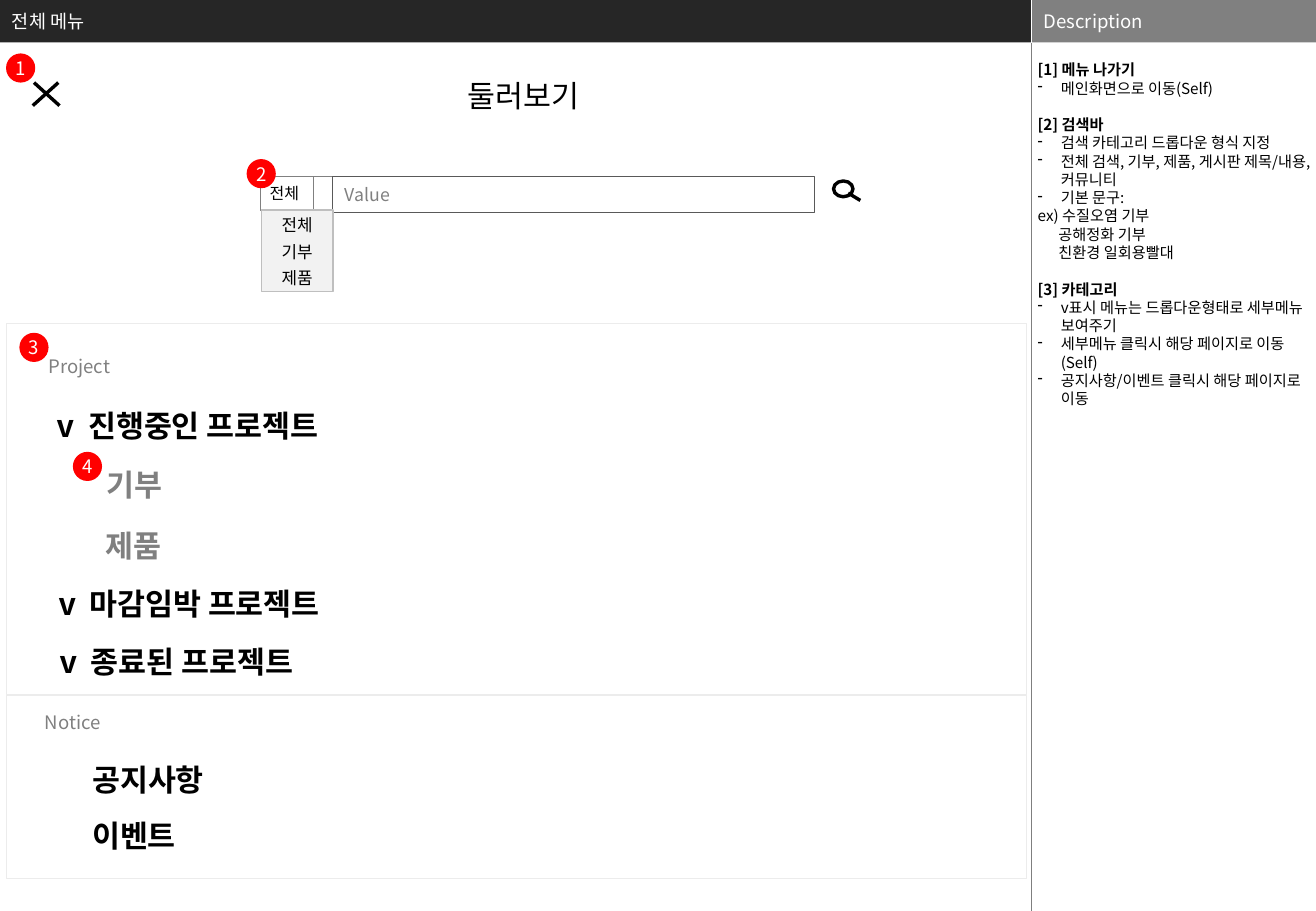
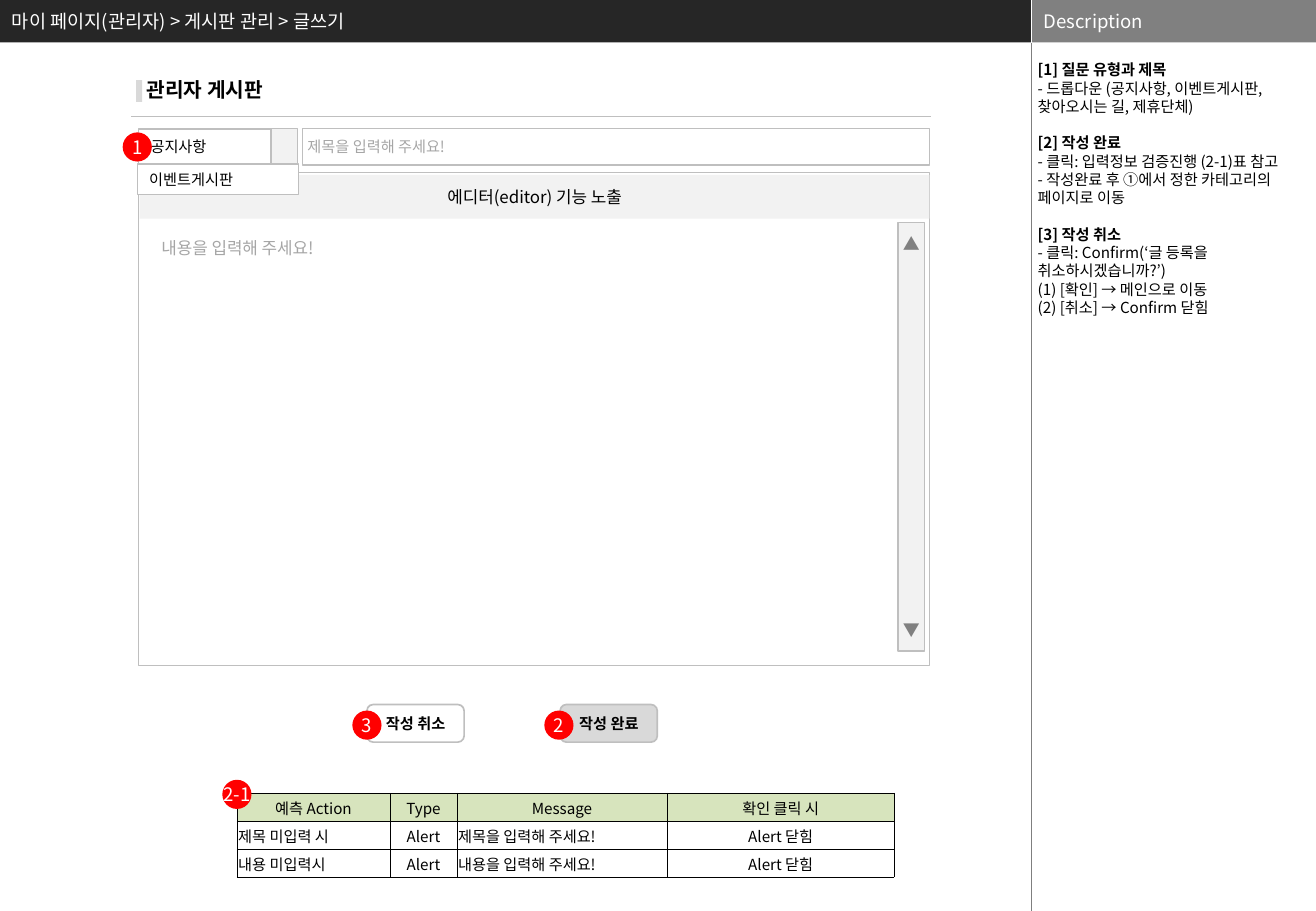
"""Build two wireframe slides: a full menu and an admin post editor."""
from dataclasses import dataclass
from typing import Any, NamedTuple, Optional, Sequence, Union

from lxml import etree
from pptx import Presentation
from pptx import util as u
from pptx.dml.color import RGBColor
from pptx.enum import shapes as s
from pptx.enum import text as t
from pptx.oxml import ns
from pptx.slide import Slide


@dataclass(frozen=True)
class Theme:
    font: str = "Noto Sans CJK KR"
    black: str = "000000"
    white: str = "FFFFFF"
    band: str = "262626"
    gray: str = "808080"
    divider: str = "7F7F7F"
    outline: str = "595959"
    border: str = "BFBFBF"
    hint: str = "A6A6A6"
    button: str = "D9D9D9"
    panel: str = "F2F2F2"
    frame: str = "ECECEC"
    badge: str = "FF0000"
    table_head: str = "D7E4BD"
    small: float = 9
    body: float = 10
    label: float = 11
    section: float = 12
    heading: float = 18
    note_gap: float = 10.8


THEME = Theme()
LEFT, CENTER = t.PP_ALIGN.LEFT, t.PP_ALIGN.CENTER
TOP, MIDDLE = t.MSO_ANCHOR.TOP, t.MSO_ANCHOR.MIDDLE
RECT = s.MSO_SHAPE.RECTANGLE
NO_INSET = (0, 0, 0, 0)
THIN_INSET = (0.04, 0.04, 0.04, 0.04)


class Box(NamedTuple):
    left: float
    top: float
    width: float
    height: float

    def lengths(self) -> list:
        return [u.Inches(value) for value in self]


@dataclass(frozen=True)
class Line:
    text: str
    bold: bool = False
    bullet: bool = False
    indent: float = 0
    before: float = 0


@dataclass(frozen=True)
class Badge:
    text: str
    left: float
    top: float


@dataclass(frozen=True)
class Label:
    text: str
    box: Box
    size: float = THEME.heading
    color: str = THEME.black
    bold: bool = True
    spacing: Optional[float] = 1.5
    wrap: bool = False
    align: Any = LEFT


def head(title: str, first: bool = False) -> Line:
    return Line(title, bold=True, before=0 if first else THEME.note_gap)


def item(content: str) -> Line:
    return Line(content, bullet=True, indent=0.19)


def write(frame: Any, content: Union[str, Sequence[Line]], *, size: float = THEME.small,
          color: str = THEME.black, bold: bool = False, align: Any = LEFT, anchor: Any = MIDDLE,
          inset: Sequence[float] = (0.1, 0.05, 0.1, 0.05), wrap: bool = True,
          spacing: Optional[float] = None) -> None:
    frame.word_wrap = wrap
    frame.vertical_anchor = anchor
    for side, margin in zip(("left", "top", "right", "bottom"), inset):
        setattr(frame, f"margin_{side}", u.Inches(margin))
    lines = [Line(content)] if isinstance(content, str) else content
    for index, line in enumerate(lines):
        paragraph = frame.add_paragraph() if index else frame.paragraphs[0]
        paragraph.alignment = align
        if spacing:
            paragraph.line_spacing = spacing
        if line.before:
            paragraph.space_before = u.Pt(line.before)
        properties = paragraph._p.get_or_add_pPr()
        if line.indent:
            properties.set("marL", str(u.Inches(line.indent)))
        if line.bullet:
            properties.set("indent", str(-u.Inches(line.indent)))
            etree.SubElement(properties, ns.qn("a:buChar")).set("char", "-")
        run = paragraph.add_run()
        run.text = line.text
        run.font.size = u.Pt(size)
        run.font.bold = bold or line.bold
        run.font.color.rgb = RGBColor.from_string(color)
        run.font.name = THEME.font
        etree.SubElement(run._r.get_or_add_rPr(), ns.qn("a:ea")).set("typeface", THEME.font)


def paint(shape: Any, fill: Optional[str], line: Optional[str], weight: float) -> None:
    shape.shadow.inherit = False
    if fill:
        shape.fill.solid()
        shape.fill.fore_color.rgb = RGBColor.from_string(fill)
    else:
        shape.fill.background()
    if line:
        shape.line.color.rgb = RGBColor.from_string(line)
        shape.line.width = u.Pt(weight)
    else:
        shape.line.fill.background()


def draw_shape(slide: Slide, box: Box, fill: Optional[str] = None, line: Optional[str] = None,
               weight: float = 0.75, kind: Any = RECT,
               content: Union[str, Sequence[Line]] = "", **style: Any) -> None:
    shape = slide.shapes.add_shape(kind, *box.lengths())
    paint(shape, fill, line, weight)
    if content:
        write(shape.text_frame, content, **style)


def draw_line(slide: Slide, start: tuple, end: tuple, color: str, weight: float) -> None:
    ends = [u.Inches(value) for value in (*start, *end)]
    connector = slide.shapes.add_connector(s.MSO_CONNECTOR.STRAIGHT, *ends)
    connector.line.color.rgb = RGBColor.from_string(color)
    connector.line.width = u.Pt(weight)
    etree.SubElement(connector._element.spPr, ns.qn("a:effectLst"))


def draw_chevron(slide: Slide, box: Box) -> None:
    left, top, width, height = box
    builder = slide.shapes.build_freeform(left, top, scale=float(u.Inches(1)))
    builder.add_line_segments([(left + width / 2, top + height), (left + width, top)], close=False)
    paint(builder.convert_to_shape(), None, THEME.gray, 0.5)


def draw_label(slide: Slide, label: Label) -> None:
    frame = slide.shapes.add_textbox(*label.box.lengths()).text_frame
    write(frame, label.text, size=label.size, color=label.color, bold=label.bold,
          align=label.align, anchor=TOP, wrap=label.wrap, spacing=label.spacing)
    frame.auto_size = t.MSO_AUTO_SIZE.SHAPE_TO_FIT_TEXT


def draw_badges(slide: Slide, badges: Sequence[Badge]) -> None:
    for badge in badges:
        draw_shape(slide, Box(badge.left, badge.top, 0.24, 0.24), THEME.badge,
                   kind=s.MSO_SHAPE.OVAL, content=badge.text, size=THEME.label,
                   color=THEME.white, align=CENTER, inset=NO_INSET, wrap=False)


def draw_table(slide: Slide, box: Box, widths: Sequence[float], rows: Sequence[Sequence[str]],
               left_columns: Sequence[int]) -> None:
    table = slide.shapes.add_table(len(rows), len(widths), *box.lengths()).table
    table.first_row = table.horz_banding = False
    for column, width in zip(table.columns, widths):
        column.width = u.Inches(width)
    for row_index, row in enumerate(rows):
        for column_index, content in enumerate(row):
            cell = table.cell(row_index, column_index)
            is_left = row_index > 0 and column_index in left_columns
            write(cell.text_frame, content, align=LEFT if is_left else CENTER)
            cell.vertical_anchor = MIDDLE
            cell.margin_left = cell.margin_top = cell.margin_right = u.Inches(0.01)
            cell.margin_bottom = 0
            properties = cell._tc.get_or_add_tcPr()
            for edge in ("lnL", "lnR", "lnT", "lnB"):
                border = etree.SubElement(properties, ns.qn(f"a:{edge}"), w=str(u.Pt(0.25)))
                fill = etree.SubElement(border, ns.qn("a:solidFill"))
                etree.SubElement(fill, ns.qn("a:srgbClr"), val=THEME.black)
            if row_index:
                cell.fill.background()
            else:
                cell.fill.solid()
                cell.fill.fore_color.rgb = RGBColor.from_string(THEME.table_head)


def add_page(presentation: Any, title: str, notes: Sequence[Line]) -> Slide:
    slide = presentation.slides.add_slide(presentation.slide_layouts[6])
    for content, left, width, fill in ((title, 0, 8.49, THEME.band),
                                       ("Description", 8.49, 2.34, THEME.gray)):
        draw_shape(slide, Box(left, 0, width, 0.35), fill, content=content,
                   size=THEME.label, color=THEME.white)
    draw_line(slide, (8.49, 0), (8.49, 0.35), THEME.white, 0.25)
    draw_line(slide, (8.49, 0.35), (8.49, 7.5), THEME.divider, 0.25)
    frame = slide.shapes.add_textbox(*Box(8.5, 0.5, 2.34, 7).lengths()).text_frame
    write(frame, notes, anchor=TOP, inset=(0.04, 0, 0.04, 0))
    return slide


def build_menu(presentation: Any) -> None:
    slide = add_page(presentation, "전체 메뉴", [
        head("[1] 메뉴 나가기", first=True), item("메인화면으로 이동(Self)"),
        head("[2] 검색바"), item("검색 카테고리 드롭다운 형식 지정"),
        item("전체 검색, 기부, 제품, 게시판 제목/내용, 커뮤니티"), item("기본 문구:"),
        Line("ex) 수질오염 기부"), Line("공해정화 기부", indent=0.17),
        Line("친환경 일회용빨대", indent=0.17),
        head("[3] 카테고리"), item("v표시 메뉴는 드롭다운형태로 세부메뉴 보여주기"),
        item("세부메뉴 클릭시 해당 페이지로 이동(Self)"),
        item("공지사항/이벤트 클릭시 해당 페이지로 이동")])
    for start, end in (((0.28, 0.68), (0.49, 0.87)), ((0.48, 0.68), (0.27, 0.87))):
        draw_line(slide, start, end, THEME.black, 2)
    draw_shape(slide, Box(2.14, 1.45, 0.46, 0.28), THEME.white, THEME.gray, 0.5,
               content="전체", size=9.5, inset=(0.08, 0, 0.08, 0))
    draw_shape(slide, Box(2.58, 1.45, 0.16, 0.3), THEME.white, THEME.gray, 0.5)
    draw_chevron(slide, Box(2.62, 1.58, 0.07, 0.04))
    draw_shape(slide, Box(2.74, 1.45, 3.96, 0.3), THEME.white, THEME.outline, 0.5,
               content="Value", size=10.5, color=THEME.gray)
    draw_shape(slide, Box(6.86, 1.49, 0.16, 0.13), None, THEME.black, 2, s.MSO_SHAPE.OVAL)
    draw_line(slide, (6.98, 1.59), (7.08, 1.65), THEME.black, 2)
    draw_shape(slide, Box(2.15, 1.73, 0.59, 0.67), THEME.panel, THEME.border,
               content=[Line("전체"), Line("기부", before=3.6), Line("제품", before=3.6)],
               size=THEME.body, align=CENTER, anchor=TOP, inset=THIN_INSET, wrap=False)
    for top, height in ((2.66, 3.06), (5.72, 1.51)):
        draw_shape(slide, Box(0.05, top, 8.4, height), None, THEME.frame, 0.25)
    for label in (
            Label("둘러보기", Box(3.52, 0.59, 1.58, 0.4), bold=False, spacing=None,
                  wrap=True, align=CENTER),
            Label("Project", Box(0.3, 2.87, 1.9, 0.29), THEME.label, THEME.gray, False, None, True),
            Label("ⅴ 진행중인 프로젝트", Box(0.32, 3.15, 2.65, 0.56)),
            Label("기부", Box(0.78, 3.64, 0.71, 0.56), color=THEME.gray),
            Label("제품", Box(0.77, 4.14, 0.71, 0.56), color=THEME.gray),
            Label("ⅴ 마감임박 프로젝트", Box(0.33, 4.62, 2.65, 0.56)),
            Label("ⅴ 종료된 프로젝트", Box(0.34, 5.1, 2.4, 0.56)),
            Label("Notice", Box(0.27, 5.8, 0.66, 0.29), THEME.label, THEME.gray, False, None),
            Label("공지사항", Box(0.66, 6.07, 1.21, 0.56)),
            Label("이벤트", Box(0.66, 6.53, 0.96, 0.56))):
        draw_label(slide, label)
    draw_badges(slide, [Badge("1", 0.05, 0.44), Badge("2", 2.03, 1.31),
                        Badge("3", 0.16, 2.74), Badge("4", 0.6, 3.72)])


def build_editor(presentation: Any) -> None:
    slide = add_page(presentation, "마이 페이지(관리자) > 게시판 관리 > 글쓰기", [
        head("[1] 질문 유형과 제목", first=True),
        Line("- 드롭다운 (공지사항, 이벤트게시판, 찾아오시는 길, 제휴단체)"),
        head("[2] 작성 완료"), Line("- 클릭: 입력정보 검증진행 (2-1)표 참고"),
        Line("- 작성완료 후 ①에서 정한 카테고리의 페이지로 이동"),
        head("[3] 작성 취소"), Line("- 클릭: Confirm(‘글 등록을 취소하시겠습니까?’)"),
        Line("(1) [확인] → 메인으로 이동"), Line("(2) [취소] → Confirm 닫힘")])
    for content, left, fill in (("작성 완료", 4.61, THEME.button), ("작성 취소", 3.02, THEME.white)):
        draw_shape(slide, Box(left, 5.8, 0.8, 0.31), fill, THEME.border, 1,
                   s.MSO_SHAPE.ROUNDED_RECTANGLE, content, bold=True, align=CENTER)
    draw_shape(slide, Box(2.49, 1.06, 5.16, 0.3), None, THEME.border,
               content="제목을 입력해 주세요!", color=THEME.hint, inset=THIN_INSET, wrap=False)
    draw_shape(slide, Box(1.14, 1.42, 6.51, 4.06), None, THEME.border)
    draw_shape(slide, Box(1.15, 1.44, 6.5, 0.36), THEME.panel, content="에디터(editor) 기능 노출",
               size=THEME.body, align=CENTER, inset=THIN_INSET, wrap=False)
    draw_shape(slide, Box(7.39, 1.83, 0.22, 3.53), THEME.panel, THEME.border,
               content=[Line("▲"), Line("▼", before=216.7)], size=THEME.body,
               color=THEME.gray, inset=THIN_INSET, wrap=False)
    for label in (
            Label("내용을 입력해 주세요!", Box(1.23, 1.91, 1.6, 0.27), THEME.body, THEME.hint,
                  False, None),
            Label("관리자 게시판", Box(1.11, 0.59, 2.73, 0.3), THEME.section, spacing=None,
                  wrap=True)):
        draw_label(slide, label)
    draw_shape(slide, Box(1.12, 0.66, 0.05, 0.18), THEME.button)
    draw_line(slide, (1.08, 0.96), (7.66, 0.96), THEME.border, 0.75)
    draw_shape(slide, Box(1.14, 1.06, 1.29, 0.29), THEME.white, THEME.border, 1, content="공지사항")
    draw_shape(slide, Box(2.23, 1.06, 0.22, 0.29), THEME.panel, THEME.border)
    draw_chevron(slide, Box(2.26, 1.17, 0.13, 0.07))
    draw_shape(slide, Box(1.13, 1.35, 1.33, 0.25), THEME.white, THEME.border, content="이벤트게시판")
    draw_table(slide, Box(1.95, 6.53, 5.41, 0.69), (1.26, 0.55, 1.73, 1.87), [
        ("예측 Action", "Type", "Message", "확인 클릭 시"),
        ("제목 미입력 시", "Alert", "제목을 입력해 주세요!", "Alert 닫힘"),
        ("내용 미입력시", "Alert", "내용을 입력해 주세요!", "Alert 닫힘")], left_columns=(0, 2))
    draw_badges(slide, [Badge("2", 4.48, 5.85), Badge("3", 2.9, 5.85),
                        Badge("1", 1.01, 1.09), Badge("2-1", 1.83, 6.42)])


def main() -> None:
    presentation = Presentation()
    presentation.slide_width, presentation.slide_height = u.Inches(10.83), u.Inches(7.5)
    build_menu(presentation)
    build_editor(presentation)
    presentation.save("out.pptx")


if __name__ == "__main__":
    main()
